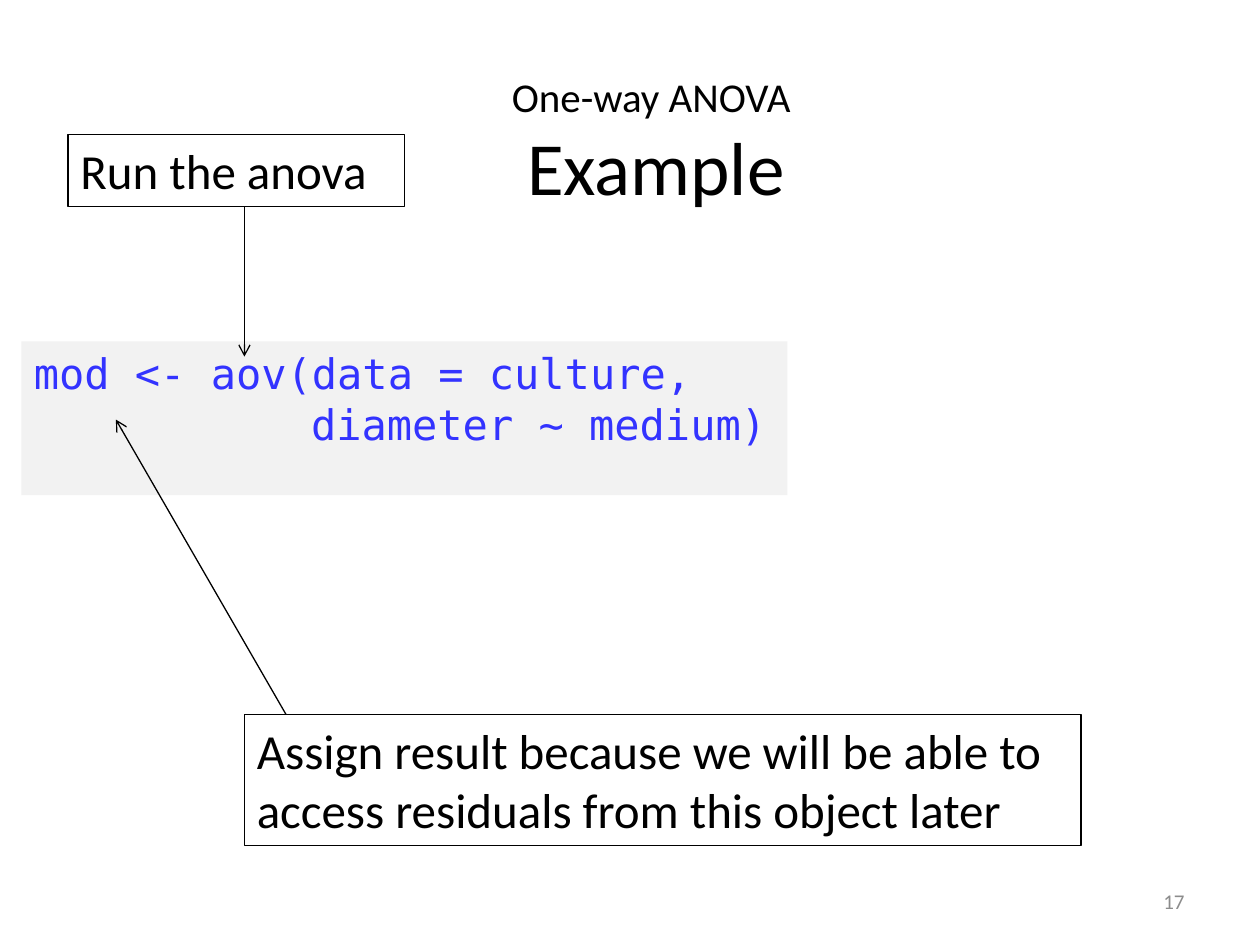
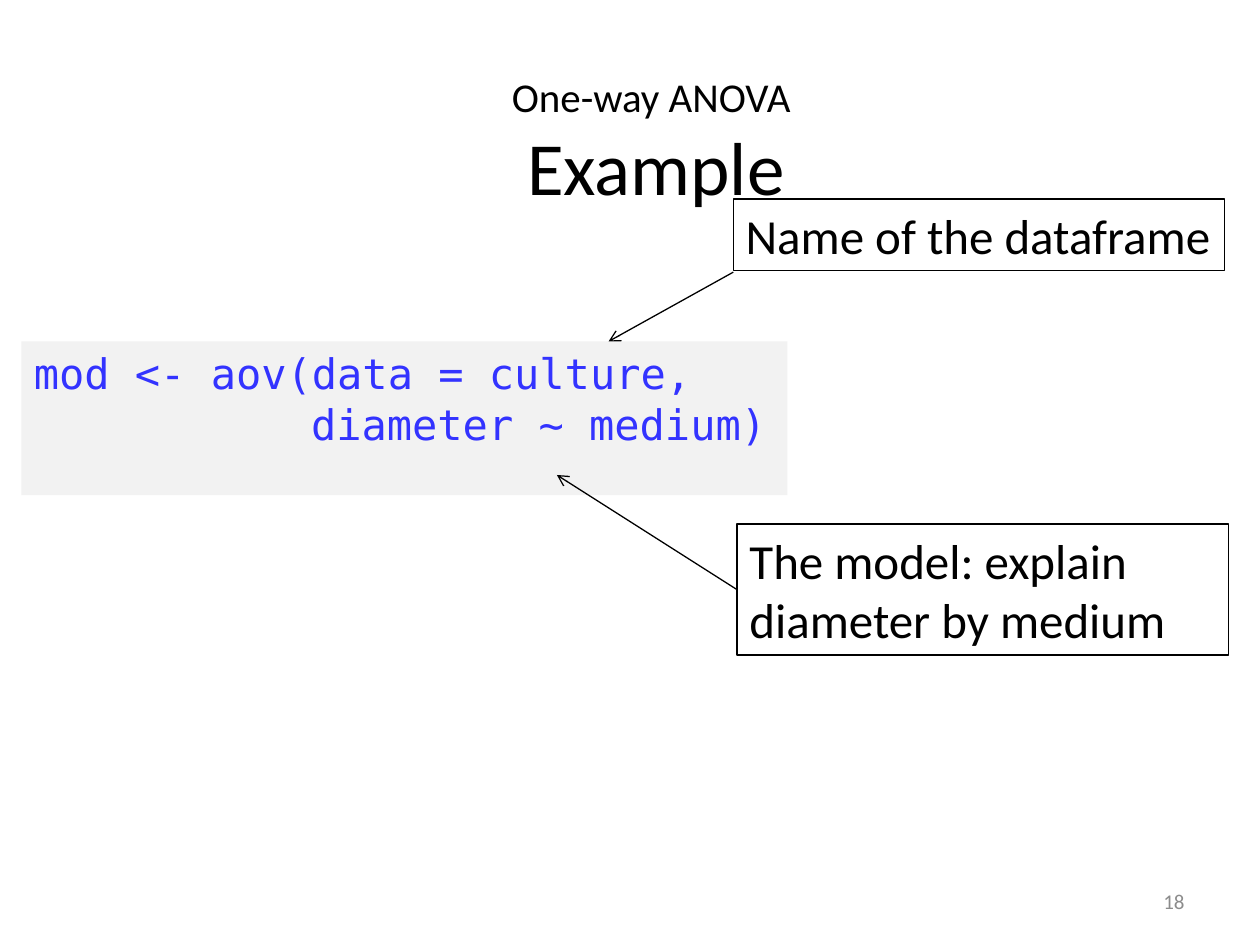
from dataclasses import dataclass
from typing import Any, Optional

import pptx
import pptx.dml.color
import pptx.enum.shapes
import pptx.enum.text
import pptx.oxml
import pptx.oxml.ns
import pptx.util

Inches = pptx.util.Inches
Pt = pptx.util.Pt
ANCHOR = pptx.enum.text.MSO_ANCHOR
ALIGN = pptx.enum.text.PP_ALIGN
AUTO_SIZE = pptx.enum.text.MSO_AUTO_SIZE

BLACK = "000000"
CODE_FILL = "F2F2F2"
LEFT_SIDE = 1
CODE_CHARACTER_WIDTH = 0.2
CODE_LINES = [("mod <- aov(data = culture,", 0), ("diameter ~ medium)", 11)]

FONTS: dict[str, dict[str, Any]] = {
    "topic": {"name": "Calibri", "size": Pt(23.4)},
    "heading": {"name": "Calibri", "size": Pt(42.9)},
    "callout": {"name": "Calibri", "size": Pt(28)},
    "code": {"name": "DejaVu Sans Mono", "size": Pt(24)},
    "number": {"name": "Calibri", "size": Pt(12)},
}
INKS = {"code": "3333FF", "number": "8C8C8C"}


@dataclass(frozen=True)
class Box:
    left: float
    top: float
    width: float
    height: float

    def lengths(self) -> list[int]:
        return [Inches(v) for v in (self.left, self.top, self.width, self.height)]


@dataclass(frozen=True)
class Callout:
    text: str
    box: Box
    start: tuple[float, float]
    target: tuple[float, float]
    joined_side: Optional[int] = None


@dataclass(frozen=True)
class Step:
    number: int
    callouts: tuple[Callout, ...]


TITLE_BOX = Box(1.33, 0.33, 7.75, 1.58)
CODE_BOX = Box(0.17, 2.71, 6.08, 1.22)
NUMBER_BOX = Box(7.17, 6.95, 2.33, 0.4)

STEPS = [
    Step(17, (
        Callout("Run the anova", Box(0.54, 1.07, 2.67, 0.57), (1.94, 1.64), (1.94, 2.83)),
        Callout("Assign result because we will be able to access residuals from this object later",
                Box(1.94, 5.67, 6.64, 1.04), (2.27, 5.67), (0.92, 3.33)),
    )),
    Step(18, (
        Callout("Name of the dataframe", Box(5.82, 1.58, 3.9, 0.57), (5.82, 2.16), (4.83, 2.71)),
        Callout("The model: explain diameter by medium",
                Box(5.85, 4.16, 3.9, 1.04), (5.85, 4.68), (4.42, 3.77), LEFT_SIDE),
    )),
]


def color(value: str) -> pptx.dml.color.RGBColor:
    return pptx.dml.color.RGBColor.from_string(value)


def apply(target: Any, values: dict[str, Any]) -> None:
    for attribute, value in values.items():
        setattr(target, attribute, value)


def add_run(paragraph: Any, text: str, style: str) -> None:
    run = paragraph.add_run()
    run.text = text
    apply(run.font, FONTS[style])
    run.font.color.rgb = color(INKS.get(style, BLACK))


def add_label(slide: Any, box: Box, alignment: Any) -> Any:
    frame = slide.shapes.add_textbox(*box.lengths()).text_frame
    apply(frame, {"word_wrap": True, "vertical_anchor": ANCHOR.MIDDLE})
    frame.paragraphs[0].alignment = alignment
    return frame.paragraphs[0]


def add_panel(slide: Any, box: Box, fill: Optional[str], line: Optional[str]) -> Any:
    panel = slide.shapes.add_shape(pptx.enum.shapes.MSO_SHAPE.RECTANGLE, *box.lengths())
    panel.shadow.inherit = False
    if fill:
        panel.fill.solid()
        panel.fill.fore_color.rgb = color(fill)
    else:
        panel.fill.background()
    if line:
        panel.line.color.rgb = color(line)
        panel.line.width = Pt(0.75)
    else:
        panel.line.fill.background()
    apply(panel.text_frame, {"word_wrap": True, "vertical_anchor": ANCHOR.TOP})
    panel.text_frame.paragraphs[0].alignment = ALIGN.LEFT
    return panel


def add_title(slide: Any) -> None:
    title = add_label(slide, TITLE_BOX, ALIGN.CENTER)
    add_run(title, "One-way ANOVA ", "topic")
    title.add_line_break()
    add_run(title, "Example", "heading")


def add_code(slide: Any) -> None:
    frame = add_panel(slide, CODE_BOX, CODE_FILL, None).text_frame
    for index, (text, indent) in enumerate(CODE_LINES):
        paragraph = frame.add_paragraph() if index else frame.paragraphs[0]
        paragraph.alignment = ALIGN.LEFT
        margin = Inches(indent * CODE_CHARACTER_WIDTH)
        paragraph._p.get_or_add_pPr().set("marL", str(margin))
        add_run(paragraph, text, "code")


def add_callout(slide: Any, callout: Callout) -> None:
    panel = add_panel(slide, callout.box, None, BLACK)
    panel.text_frame.auto_size = AUTO_SIZE.SHAPE_TO_FIT_TEXT
    add_run(panel.text_frame.paragraphs[0], callout.text, "callout")
    ends = [Inches(v) for v in callout.start + callout.target]
    arrow = slide.shapes.add_connector(pptx.enum.shapes.MSO_CONNECTOR.STRAIGHT, *ends)
    if callout.joined_side is not None:
        arrow.begin_connect(panel, callout.joined_side)
    arrow.line.color.rgb = color(BLACK)
    arrow.line.width = Pt(0.75)
    head = pptx.oxml.parse_xml(f'<a:tailEnd {pptx.oxml.ns.nsdecls("a")} type="arrow"/>')
    arrow.line._get_or_add_ln().append(head)
    no_effects = pptx.oxml.parse_xml(f'<a:effectLst {pptx.oxml.ns.nsdecls("a")}/>')
    arrow._element.spPr.append(no_effects)


def main() -> None:
    deck = pptx.Presentation()
    apply(deck, {"slide_width": Inches(10), "slide_height": Inches(7.5)})
    for step in STEPS:
        slide = deck.slides.add_slide(deck.slide_layouts[6])
        add_run(add_label(slide, NUMBER_BOX, ALIGN.RIGHT), str(step.number), "number")
        add_title(slide)
        add_code(slide)
        for callout in step.callouts:
            add_callout(slide, callout)
    deck.save("out.pptx")


if __name__ == "__main__":
    main()
